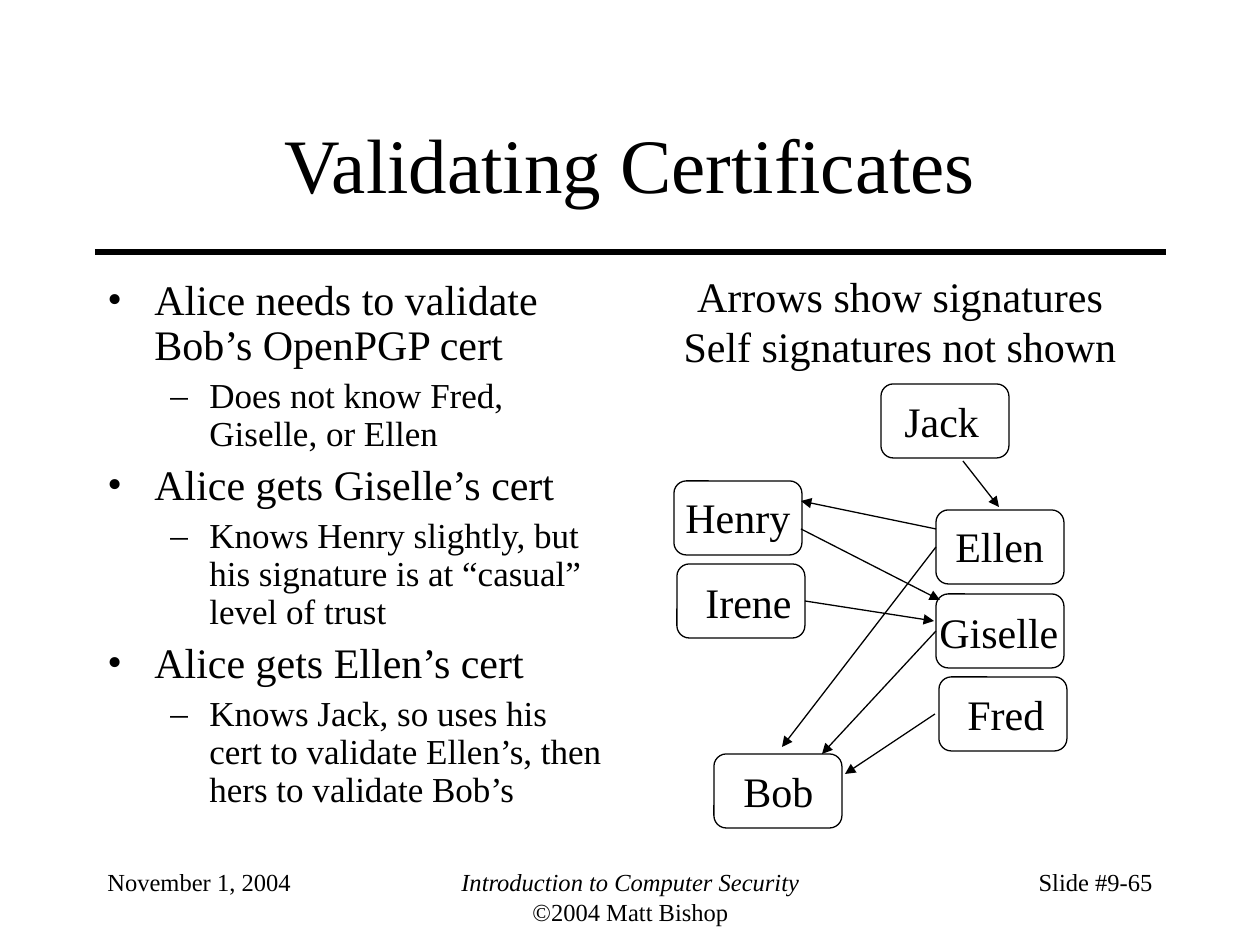
from lxml import etree
from pptx import Presentation
from pptx.dml.color import RGBColor
from pptx.enum.shapes import MSO_CONNECTOR, MSO_SHAPE
from pptx.enum.text import MSO_ANCHOR, MSO_AUTO_SIZE, PP_ALIGN
from pptx.oxml.ns import qn
from pptx.util import Pt

PX = 914400 / 126  # EMU in one px
FONT = "Times New Roman"
COLORS = {"ink": "000000", "paper": "FFFFFF"}
LEFT, CENTER, RIGHT = PP_ALIGN.LEFT, PP_ALIGN.CENTER, PP_ALIGN.RIGHT
TOP, MIDDLE = MSO_ANCHOR.TOP, MSO_ANCHOR.MIDDLE
GROW = MSO_AUTO_SIZE.SHAPE_TO_FIT_TEXT
STRAIGHT, ROUNDED = MSO_CONNECTOR.STRAIGHT, MSO_SHAPE.ROUNDED_RECTANGLE
LEFT_SIDE, RIGHT_SIDE = 1, 3

BOX_W, BOX_H = 128, 74
# name: box left, box top, label left, label top, label width
PEOPLE = {
    "Bob": (714, 754, 731, 759, 96),
    "Fred": (939, 677, 955, 682, 104),
    "Giselle": (936, 594, 927, 600, 146),
    "Ellen": (936, 510, 943, 514, 116),
    "Irene": (677, 564, 693, 570, 113),
    "Henry": (674, 481, 673, 485, 132),
    "Jack": (881, 384, 892, 389, 102),
}
# start, end, and the box side the start is joined to
SIGNATURES = [
    ((936, 547), (782, 747), ("Ellen", LEFT_SIDE)),
    ((936, 631), (822, 754), ("Giselle", LEFT_SIDE)),
    ((935, 714), (845, 774), None),
    ((805, 601), (934, 621), ("Irene", RIGHT_SIDE)),
    ((801, 529), (940, 600), None),
    ((936, 529), (801, 501), None),
    ((963, 461), (999, 507), None),
]
# level, text
POINTS = [
    (0, "Alice needs to validate Bob’s OpenPGP cert"),
    (1, "Does not know Fred, Giselle, or Ellen"),
    (0, "Alice gets Giselle’s cert"),
    (1, "Knows Henry slightly, but his signature is at “casual” level of trust"),
    (0, "Alice gets Ellen’s cert"),
    (1, "Knows Jack, so uses his cert to validate Ellen’s, then hers to validate Bob’s"),
]
# per level: bullet, size, space before, left margin, hanging indent
LEVELS = [("•", 24, 6, 47, -47), ("–", 20, 5, 102, -39)]


def px(n):
    return round(n * PX)


def color(name):
    return RGBColor.from_string(COLORS[name])


def style(p, size, align=LEFT, italic=False):
    p.alignment = align
    for r in p.runs:
        r.font.name = FONT
        r.font.size = Pt(size)
        r.font.italic = italic
        r.font.color.rgb = color("ink")


def add_text(s, box, lines, size, align=LEFT, wrap=True):
    sp = s.shapes.add_textbox(*map(px, box))
    tf = sp.text_frame
    tf.word_wrap = wrap
    if not wrap:
        tf.auto_size = GROW
    tf.vertical_anchor = TOP
    tf.text = "\n".join(lines)
    for p in tf.paragraphs:
        style(p, size, align)
    return tf


def add_line(s, start, end, width, arrow=False):
    c = s.shapes.add_connector(STRAIGHT, *map(px, start + end))
    c.line.color.rgb = color("ink")
    c.line.width = Pt(width)
    if arrow:
        etree.SubElement(c.line._get_or_add_ln(), qn("a:tailEnd"), type="triangle")
    etree.SubElement(c._element.spPr, qn("a:effectLst"))
    return c


def add_person(s, name, left, top, label_left, label_top, label_width):
    sp = s.shapes.add_shape(ROUNDED, *map(px, (left, top, BOX_W, BOX_H)))
    sp.shadow.inherit = False
    sp.fill.background()
    sp.line.color.rgb = color("ink")
    sp.line.width = Pt(0.75)
    add_text(s, (label_left, label_top, label_width, 63), [name], 24, wrap=False)
    return sp


def set_title(s, text):
    sp = s.shapes.title
    sp.left, sp.top, sp.width, sp.height = map(px, (95, 84, 1071, 158))
    tf = sp.text_frame
    tf.text = text
    tf.vertical_anchor = MIDDLE
    style(tf.paragraphs[0], 44, CENTER)


def add_bullets(s, box, points):
    tf = add_text(s, box, [text for _, text in points], 24)
    for p, (level, _) in zip(tf.paragraphs, points):
        bullet, size, before, margin, indent = LEVELS[level]
        style(p, size)
        p.level = level
        p.line_spacing = 0.9
        p.space_before = Pt(before)
        pPr = p._p.get_or_add_pPr()
        pPr.set("marL", str(px(margin)))
        pPr.set("indent", str(px(indent)))
        clr = etree.SubElement(pPr, qn("a:buClr"))
        etree.SubElement(clr, qn("a:srgbClr"), val=COLORS["ink"])
        etree.SubElement(pPr, qn("a:buFont"), typeface=FONT)
        etree.SubElement(pPr, qn("a:buChar"), char=bullet)


def main():
    prs = Presentation()
    prs.slide_width, prs.slide_height = px(1260), px(945)
    s = prs.slides.add_slide(prs.slide_layouts[5])
    s.background.fill.solid()
    s.background.fill.fore_color.rgb = color("paper")

    # Title and rule
    set_title(s, "Validating Certificates")
    add_line(s, (95, 252), (1166, 252), 3)

    # Footer
    add_text(s, (95, 861, 262, 63), ["November 1, 2004"], 14)
    tf = add_text(s, (431, 861, 399, 63),
                  ["Introduction to Computer Security", "©2004 Matt Bishop"], 14, CENTER)
    style(tf.paragraphs[0], 14, CENTER, italic=True)
    add_text(s, (903, 861, 262, 63), ["Slide #9-65"], 14, RIGHT)

    # Argument on the left
    add_bullets(s, (95, 273, 525, 567), POINTS)

    # Signature graph on the right
    add_text(s, (668, 264, 464, 113),
             ["Arrows show signatures", "Self signatures not shown"], 24, CENTER, wrap=False)
    boxes = {name: add_person(s, name, *place) for name, place in PEOPLE.items()}
    for start, end, joint in SIGNATURES:
        c = add_line(s, start, end, 0.75, arrow=True)
        if joint:
            name, side = joint
            c.begin_connect(boxes[name], side)

    prs.save("out.pptx")


if __name__ == "__main__":
    main()
